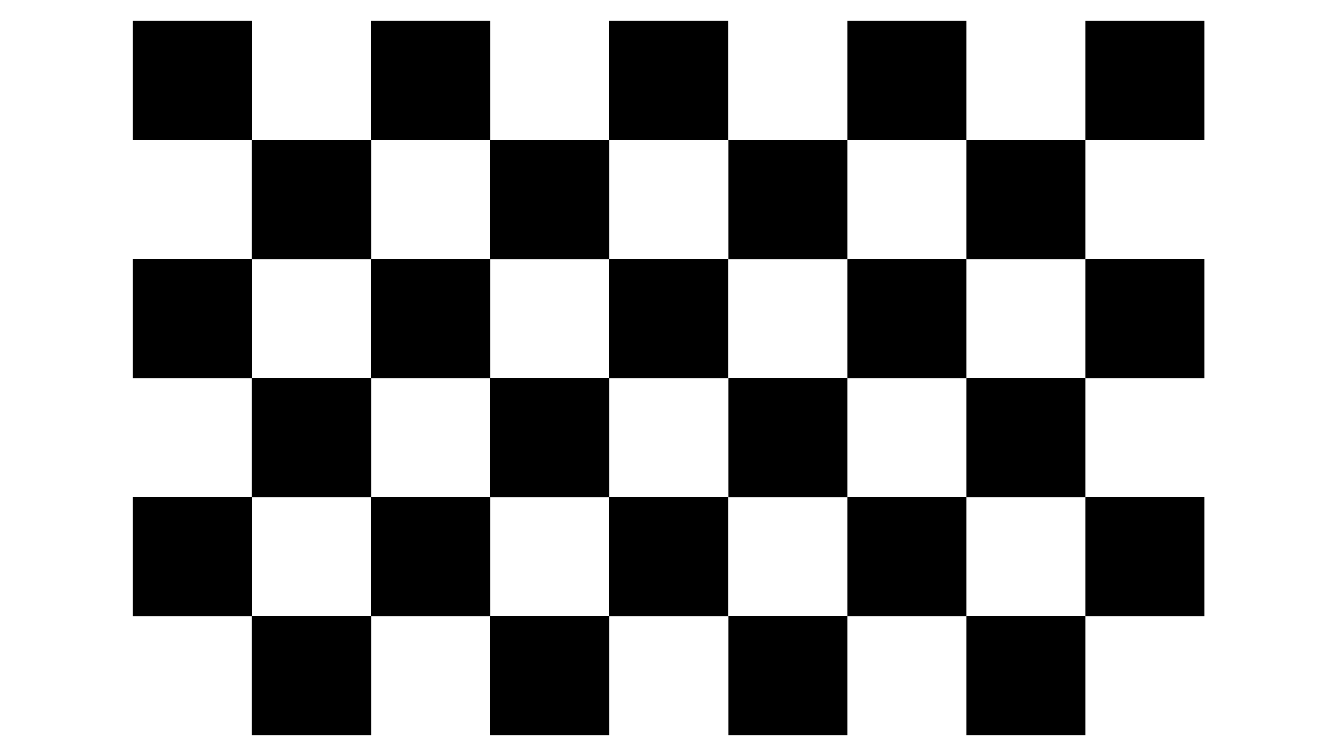
from pptx import Presentation
from pptx.dml.color import RGBColor
from pptx.enum.shapes import MSO_SHAPE
from pptx.util import Pt

ROWS, COLUMNS = 6, 9
SIDE = 85.04
BOARD_LEFT, BOARD_TOP = 95, 15


def color(value):
    return RGBColor.from_string(value)


class Board:
    background = "FFFFFF"
    dark = "000000"

    def __init__(self, slide):
        self.slide = slide
        fill = slide.background.fill
        fill.solid()
        fill.fore_color.rgb = color(self.background)

    def square(self, left, top, side):
        shape = self.slide.shapes.add_shape(
            MSO_SHAPE.RECTANGLE, Pt(left), Pt(top), Pt(side), Pt(side))
        shape.shadow.inherit = False
        shape.fill.solid()
        shape.fill.fore_color.rgb = color(self.dark)
        shape.line.fill.background()


presentation = Presentation()
presentation.slide_width = Pt(960)
presentation.slide_height = Pt(540)
board = Board(presentation.slides.add_slide(presentation.slide_layouts[6]))

for row in range(ROWS):
    for column in range(row % 2, COLUMNS, 2):
        board.square(BOARD_LEFT + column * SIDE, BOARD_TOP + row * SIDE, SIDE)

presentation.save("out.pptx")
